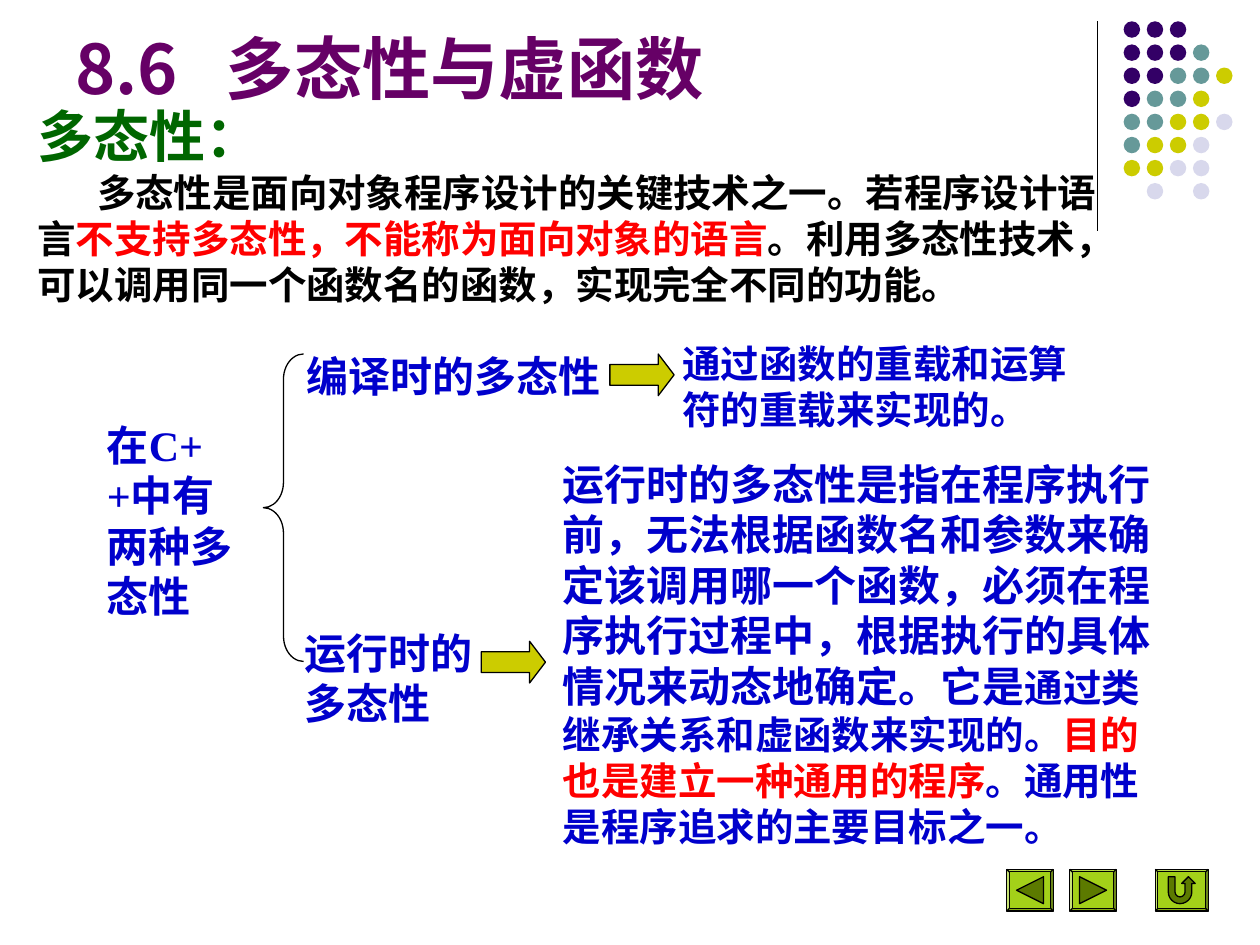
from dataclasses import dataclass

from lxml.etree import SubElement
from pptx import Presentation
from pptx.dml.color import RGBColor
from pptx.enum.shapes import MSO_CONNECTOR as Connector, MSO_SHAPE as Preset
from pptx.enum.text import MSO_ANCHOR as Anchor, MSO_AUTO_SIZE as AutoSize
from pptx.oxml.ns import qn
from pptx.util import Pt


@dataclass(frozen=True)
class Theme:
    cjk: str = "Noto Sans CJK SC"
    sans: str = "Arial"
    serif: str = "Times New Roman"
    purple: str = "660066"
    green: str = "006600"
    blue: str = "0000CC"
    red: str = "FF0000"
    black: str = "000000"
    yellow: str = "CCCC00"
    button: str = "99CC00"
    icon: str = "5C7A00"
    dots: tuple = ("330066", "669999", "CCCC00", "D8D8EC")
    title: int = 39
    heading: int = 32
    large: int = 24
    body: int = 22
    hairline: float = 0.75


class SlideBuilder:
    def __init__(self, slide, theme):
        self.shapes = slide.shapes
        self.theme = theme

    def shape(self, preset, left, top, width, height, fill=None, outlined=True, adjust=()):
        shape = self.shapes.add_shape(preset, Pt(left), Pt(top), Pt(width), Pt(height))
        shape.shadow.inherit = False
        if fill:
            shape.fill.solid()
            shape.fill.fore_color.rgb = RGBColor.from_string(fill)
        else:
            shape.fill.background()
        if outlined:
            shape.line.color.rgb = RGBColor.from_string(self.theme.black)
            shape.line.width = Pt(self.theme.hairline)
        else:
            shape.line.fill.background()
        for index, value in enumerate(adjust):
            shape.adjustments[index] = value
        return shape

    def vertical_line(self, x, top, bottom):
        line = self.shapes.add_connector(Connector.STRAIGHT, Pt(x), Pt(top), Pt(x), Pt(bottom))
        line.line.color.rgb = RGBColor.from_string(self.theme.black)
        line.line.width = Pt(self.theme.hairline)
        SubElement(line._element.spPr, qn("a:effectLst"))

    def dot_grid(self, rows, left, top, pitch, size):
        for row, codes in enumerate(rows):
            for column, code in enumerate(codes):
                if code != ".":
                    self.shape(Preset.OVAL, left + column * pitch, top + row * pitch,
                               size, size, self.theme.dots[int(code)], outlined=False)

    def text_box(self, left, top, width, height, anchor=Anchor.TOP):
        box = self.shapes.add_textbox(Pt(left), Pt(top), Pt(width), Pt(height))
        frame = box.text_frame
        frame.word_wrap = True
        frame.auto_size = AutoSize.NONE
        frame.vertical_anchor = anchor
        return frame

    def paragraph(self, para, spans, size, color, latin, indent=0, tab=0):
        properties = para._p.get_or_add_pPr()
        if indent:
            properties.set("indent", str(Pt(indent)))
        if tab:
            stops = SubElement(properties, qn("a:tabLst"))
            SubElement(stops, qn("a:tab"), pos=str(Pt(tab)), algn="l")
        font = para.font
        font.size, font.bold, font.name = Pt(size), True, latin
        font.color.rgb = RGBColor.from_string(color)
        SubElement(properties.find(qn("a:defRPr")), qn("a:ea"), typeface=self.theme.cjk)
        for text, span_size, span_color in spans:
            span = para.add_run()
            span.text = text
            if span_size:
                span.font.size = Pt(span_size)
            if span_color:
                span.font.color.rgb = RGBColor.from_string(span_color)

    def label(self, text, left, top, width, height, size, latin):
        frame = self.text_box(left, top, width, height)
        self.paragraph(frame.paragraphs[0], [(text, None, None)], size, self.theme.blue, latin)

    def arrow(self, left, top):
        self.shape(Preset.RIGHT_ARROW, left, top, 36.7, 23.8, self.theme.yellow,
                   adjust=(0.5, 0.38))

    def button(self, left, width, icon, rotation=0, flipped=False, adjust=()):
        top, height, icon_size = 496.8, 23.8, 15.4
        bevel = self.shape(Preset.BEVEL, left, top, width, height, self.theme.button,
                           adjust=(0.06,))
        color = bevel._element.spPr.find(qn("a:solidFill"))[0]
        SubElement(color, qn("a:alpha"), val="90000")
        sign = self.shape(icon, left + (width - icon_size) / 2, top + (height - icon_size) / 2,
                          icon_size, icon_size, self.theme.icon, adjust=adjust)
        sign.rotation = rotation
        if flipped:
            sign._element.spPr.xfrm.set("flipV", "1")


def main():
    theme = Theme()
    deck = Presentation()
    deck.slide_width, deck.slide_height = Pt(720), Pt(540)
    page = SlideBuilder(deck.slides.add_slide(deck.slide_layouts[6]), theme)

    page.vertical_line(627.1, 12.2, 131.8)
    dot_rows = ["000", "0001", "00112", "0112", "11223", "1223", "2233", ".3.3"]
    page.dot_grid(dot_rows, left=642.1, top=12.2, pitch=13.2, size=9.4)

    title = page.text_box(36, 9.4, 432, 56.2, Anchor.BOTTOM)
    page.paragraph(title.paragraphs[0], [("8.6\t多态性与虚函数", None, None)],
                   theme.title, theme.purple, theme.cjk, tab=86)

    intro = page.text_box(14.4, 54.7, 629.3, 125.3)
    page.paragraph(intro.paragraphs[0], [("多态性：", None, None)],
                   theme.heading, theme.green, theme.sans)
    page.paragraph(intro.add_paragraph(), [
        ("多态性是面向对象程序设计的关键技术之一。若程序设计语言", None, None),
        ("不支持多态性，不能称为面向对象的语言", None, theme.red),
        ("。利用多态性技术，可以调用同一个函数名的函数，实现完全不同的功能。", None, None),
    ], theme.body, theme.black, theme.sans, indent=34)

    page.label("在C++中有两种多态性", 54, 236.2, 97.9, 122.4, theme.large, theme.serif)
    page.shape(Preset.LEFT_BRACE, 150.5, 202.3, 23, 175.7, adjust=(0.63, 0.5))
    page.label("编译时的多态性", 167.8, 196.6, 187.9, 36, theme.large, theme.cjk)
    page.label("运行时的多态性", 167, 355, 130.3, 64.8, theme.large, theme.cjk)
    page.label("通过函数的重载和运算符的重载来实现的。", 383, 190.8, 254.2, 60.5,
               theme.body, theme.sans)
    page.arrow(348.5, 202.3)
    page.arrow(275, 366.5)

    runtime = page.text_box(314.6, 258.5, 359.3, 233.3)
    page.paragraph(runtime.paragraphs[0], [
        ("运行时的多态性是指在程序执行前，无法根据函数名和参数来确定该调用哪一个函数，"
         "必须在程序执行过程中，根据执行的具体情况来动态地确定。它是", None, None),
        ("通过类继承关系和虚函数来实现的。", theme.body, None),
        ("目的也是建立一种通用的程序", theme.body, theme.red),
        ("。通用性是程序追求的主要目标之一。", theme.body, None),
    ], theme.large, theme.blue, theme.cjk)

    page.button(575.3, 26.6, Preset.ISOSCELES_TRIANGLE, rotation=270)
    page.button(611.3, 26.6, Preset.ISOSCELES_TRIANGLE, rotation=90)
    page.button(660.2, 30.2, Preset.U_TURN_ARROW, flipped=True,
                adjust=(0.25, 0.25, 0.25, 0.44, 1))

    deck.save("out.pptx")


if __name__ == "__main__":
    main()
